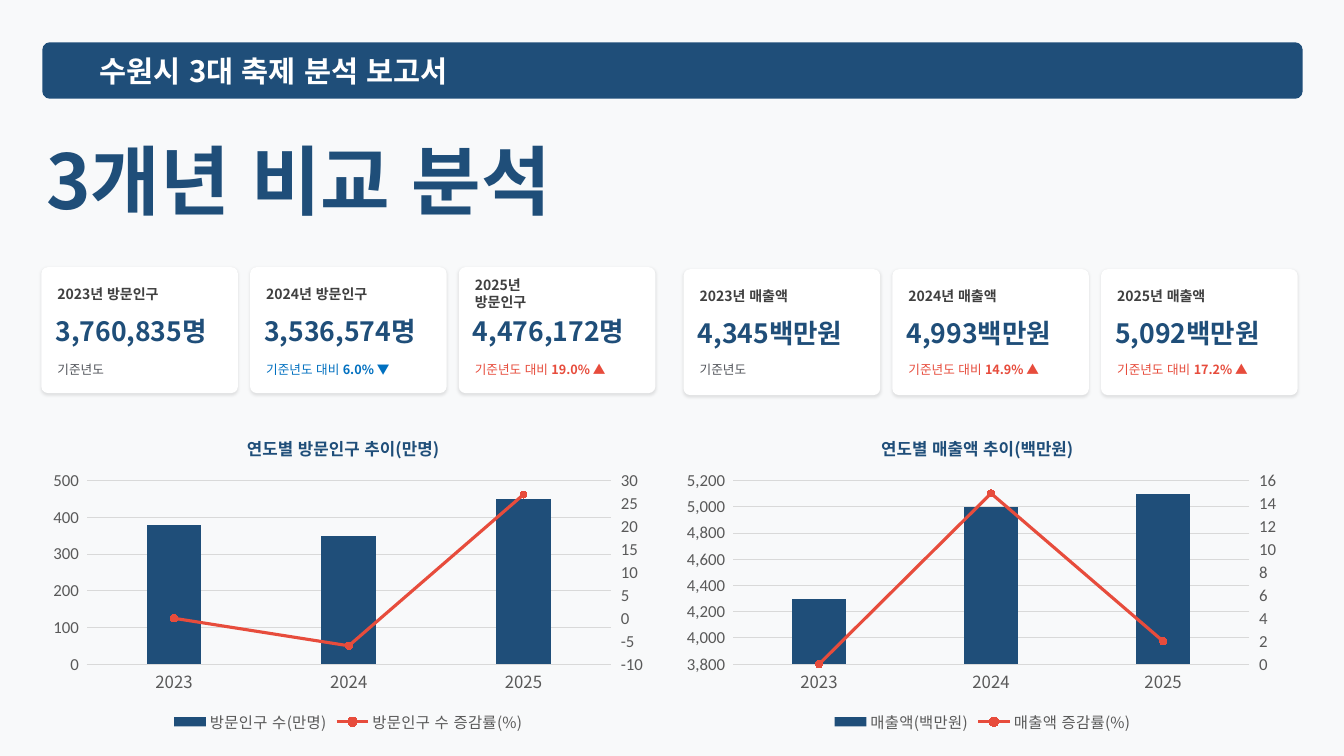
from copy import deepcopy

from pptx import Presentation
from pptx.chart.axis import ValueAxis
from pptx.chart.data import CategoryChartData
from pptx.dml.color import RGBColor
from pptx.enum.chart import (XL_CHART_TYPE, XL_LEGEND_POSITION,
                             XL_MARKER_STYLE, XL_TICK_MARK)
from pptx.enum.lang import MSO_LANGUAGE_ID
from pptx.enum.shapes import MSO_SHAPE
from pptx.enum.text import MSO_ANCHOR
from pptx.oxml import parse_xml
from pptx.oxml.ns import nsdecls, qn
from pptx.util import Inches, Pt

COLUMN = XL_CHART_TYPE.COLUMN_CLUSTERED
LEGEND_BOTTOM = XL_LEGEND_POSITION.BOTTOM
CIRCLE = XL_MARKER_STYLE.CIRCLE
TICK_NONE, TICK_OUT = XL_TICK_MARK.NONE, XL_TICK_MARK.OUTSIDE
ROUNDED = MSO_SHAPE.ROUNDED_RECTANGLE
MIDDLE = MSO_ANCHOR.MIDDLE
KOREAN_LANGUAGE = MSO_LANGUAGE_ID.KOREAN

NAVY = RGBColor(0x1F, 0x4E, 0x79)
RED = RGBColor(0xE7, 0x4C, 0x3C)
BLUE = RGBColor(0x00, 0x70, 0xC0)
WHITE = RGBColor(0xFF, 0xFF, 0xFF)
PAPER = RGBColor(0xF8, 0xF9, 0xFA)
LABEL_GREY = RGBColor(0x40, 0x40, 0x40)
NOTE_GREY = RGBColor(0x51, 0x54, 0x5A)
AXIS_GREY = RGBColor(0x59, 0x59, 0x59)
GRID_GREY = RGBColor(0xD9, 0xD9, 0xD9)

KOREAN, LATIN = "Noto Sans CJK KR", "Calibri"
CARD_WIDTH, CARD_HEIGHT, CARD_STEP = 1.95, 1.25, 2.07
NOTE_TOP = 3.56
CHART_TOP, CHART_WIDTH, CHART_HEIGHT = 4.14, 6.09, 3.17
PLOT_TOP, PLOT_HEIGHT = 0.63, 1.82
YEARS = ("2023", "2024", "2025")
BASE = ("기준년도", "", NOTE_GREY)
VERSUS = "기준년도 대비 "

CARD_GROUPS = (
    (0.41, 2.65, (
        ("2023년 방문인구", 1.12, "3,760,835명", BASE),
        ("2024년 방문인구", 1.12, "3,536,574명", (VERSUS, "6.0% ▼", BLUE)),
        ("2025년 방문인구", 0.95, "4,476,172명", (VERSUS, "19.0% ▲", RED)))),
    (6.78, 2.67, (
        ("2023년 매출액", 1.12, "4,345백만원", BASE),
        ("2024년 매출액", 1.12, "4,993백만원", (VERSUS, "14.9% ▲", RED)),
        ("2025년 매출액", 1.12, "5,092백만원", (VERSUS, "17.2% ▲", RED)))),
)

CHARTS = (
    dict(left=0.41, title="연도별 방문인구 추이(만명)",
         bars=("방문인구 수(만명)", (380, 350, 450)),
         rates=("방문인구 수 증감률(%)", (0, -6, 27)),
         bar_scale=(0, 500, 100), rate_scale=(-10, 30, 5),
         number_format="#,##0_);[Red]\\(#,##0\\)",
         plot_left=0.45, plot_width=5.2),
    dict(left=6.7, title="연도별 매출액 추이(백만원)",
         bars=("매출액(백만원)", (4300, 5000, 5100)),
         rates=("매출액 증감률(%)", (0, 14.9, 2)),
         bar_scale=(3800, 5200, 200), rate_scale=(0, 16, 2),
         number_format="#,##0_ ",
         plot_left=0.57, plot_width=5.12),
)


def style_font(font, size, color, bold=False, name=KOREAN):
    """Set size, colour, weight, language and both typefaces."""
    font.size, font.bold, font.name = Pt(size), bold, name
    font.color.rgb = color
    font.language_id = KOREAN_LANGUAGE
    latin = font._rPr.find(qn("a:latin"))
    latin.addnext(parse_xml(f'<a:ea {nsdecls("a")} typeface="{name}"/>'))


def add_text(slide, box, runs, size, color):
    """Add a wrapped text box from (text, bold) runs."""
    shape = slide.shapes.add_textbox(*map(Inches, box))
    frame = shape.text_frame
    frame.word_wrap, frame.vertical_anchor = True, MIDDLE
    frame.margin_left = frame.margin_right = 0
    frame.margin_top = frame.margin_bottom = 0
    for text, bold in runs:
        run = frame.paragraphs[0].add_run()
        run.text = text
        style_font(run.font, size, color, bold)


def add_panel(slide, box, color, corner):
    """Add a borderless rounded panel."""
    shape = slide.shapes.add_shape(ROUNDED, *map(Inches, box))
    shape.adjustments[0] = corner
    shape.fill.solid()
    shape.fill.fore_color.rgb = color
    shape.line.fill.background()
    shape.shadow.inherit = False
    return shape


def add_card(slide, left, top, card):
    """Add one figure card with label, value and comparison note."""
    label, label_width, value, (note, change, note_color) = card
    panel = add_panel(slide, (left, top, CARD_WIDTH, CARD_HEIGHT), WHITE, 0.053)
    effects = panel._element.spPr.find(qn("a:effectLst"))
    effects.append(parse_xml(
        f'<a:outerShdw {nsdecls("a")} blurRad="{Pt(2)}" dist="{Pt(1)}" '
        'dir="5400000" algn="t" rotWithShape="0"><a:srgbClr val="000000">'
        '<a:alpha val="10000"/></a:srgbClr></a:outerShdw>'))
    add_text(slide, (left + 0.16, top + 0.18, label_width, 0.17),
             [(label, True)], 10, LABEL_GREY)
    add_text(slide, (left + 0.14, top + 0.49, CARD_WIDTH, 0.29),
             [(value, True)], 19, NAVY)
    runs = [(note, False)] + ([(change, True)] if change else [])
    add_text(slide, (left + 0.16, NOTE_TOP, 1.75, 0.21), runs, 9, note_color)


def set_layout(parent, index, shares, inner=False):
    """Place a chart part by shares of the chart's size."""
    for old in parent.findall(qn("c:layout")):
        parent.remove(old)
    target = '<c:layoutTarget val="inner"/>' if inner else ""
    modes = '<c:xMode val="edge"/><c:yMode val="edge"/>'
    places = "".join(f'<c:{key} val="{share}"/>' for key, share in zip("xywh", shares))
    parent.insert(index, parse_xml(
        f'<c:layout {nsdecls("c")}><c:manualLayout>{target}{modes}{places}'
        '</c:manualLayout></c:layout>'))


def move_rates_to_right_axis(chart):
    """Turn the second series into a line and return its own value axis."""
    bar_plot = chart.plots[0]._element
    plot_area = bar_plot.getparent()
    series = bar_plot.findall(qn("c:ser"))[1]
    for flag in series.findall(qn("c:invertIfNegative")):
        series.remove(flag)
    line_plot = parse_xml(
        f'<c:lineChart {nsdecls("c")}><c:grouping val="standard"/>'
        '<c:varyColors val="0"/><c:marker val="1"/>'
        '<c:axId val="5001"/><c:axId val="5002"/></c:lineChart>')
    line_plot.insert(2, series)
    bar_plot.addnext(line_plot)
    category = deepcopy(plot_area.find(qn("c:catAx")))
    value = deepcopy(plot_area.find(qn("c:valAx")))
    plot_area.find(qn("c:valAx")).addnext(value)
    value.addnext(category)
    for axis, own, other in ((category, "5001", "5002"), (value, "5002", "5001")):
        axis.find(qn("c:axId")).set("val", own)
        axis.find(qn("c:crossAx")).set("val", other)
    category.find(qn("c:delete")).set("val", "1")
    value.find(qn("c:axPos")).set("val", "r")
    value.find(qn("c:crosses")).set("val", "max")
    return ValueAxis(value)


def style_value_axis(axis, scale, number_format, tick):
    """Give a value axis its scale, number format and font."""
    axis.minimum_scale, axis.maximum_scale, axis.major_unit = scale
    axis.major_tick_mark, axis.minor_tick_mark = tick, TICK_NONE
    axis.format.line.fill.background()
    axis.tick_labels.number_format = number_format
    axis.tick_labels.number_format_is_linked = False
    style_font(axis.tick_labels.font, 12, AXIS_GREY, name=LATIN)


def style_series(chart):
    """Colour the columns and the marked line."""
    bar_plot, line_plot = chart.plots
    bar_plot.gap_width, bar_plot.vary_by_categories = 219, False
    bars, rates = bar_plot.series[0], line_plot.series[0]
    rates.smooth = False
    rates.format.line.color.rgb, rates.format.line.width = RED, Pt(2.25)
    rates.marker.style, rates.marker.size = CIRCLE, 5
    rates.marker.format.line.color.rgb = RED
    for part, color in ((bars, NAVY), (rates.marker, RED)):
        part.format.fill.solid()
        part.format.fill.fore_color.rgb = color


def add_trend_chart(slide, left, title, bars, rates, bar_scale, rate_scale,
                    number_format, plot_left, plot_width):
    """Add columns with a growth line on a right axis."""
    data = CategoryChartData()
    data.categories = YEARS
    data.add_series(*bars)
    data.add_series(*rates)
    box = map(Inches, (left, CHART_TOP, CHART_WIDTH, CHART_HEIGHT))
    chart = slide.shapes.add_chart(COLUMN, *box, data).chart
    chart.font.size, chart.font.name = Pt(10), LATIN
    left_axis, category_axis = chart.value_axis, chart.category_axis
    left_axis.has_major_gridlines = False
    right_axis = move_rates_to_right_axis(chart)
    style_series(chart)
    style_value_axis(left_axis, bar_scale, number_format, TICK_NONE)
    style_value_axis(right_axis, rate_scale, "General", TICK_OUT)
    category_axis.major_tick_mark = TICK_NONE
    style_font(category_axis.tick_labels.font, 12, AXIS_GREY)
    left_axis.has_major_gridlines = True
    for rule in (category_axis.format.line, left_axis.major_gridlines.format.line):
        rule.color.rgb, rule.width = GRID_GREY, Pt(0.75)
    chart.has_legend = True
    chart.legend.position, chart.legend.include_in_layout = LEGEND_BOTTOM, False
    style_font(chart.legend.font, 11, AXIS_GREY)
    heading = chart.chart_title
    heading.text_frame.text = title
    style_font(heading.text_frame.paragraphs[0].runs[0].font, 12, NAVY, True)
    set_layout(heading._element, 1, (0.33, 0.04))
    shares = (plot_left / CHART_WIDTH, PLOT_TOP / CHART_HEIGHT,
              plot_width / CHART_WIDTH, PLOT_HEIGHT / CHART_HEIGHT)
    set_layout(chart.plots[0]._element.getparent(), 0, shares, inner=True)


def main():
    """Build the festival comparison slide."""
    presentation = Presentation()
    presentation.slide_width, presentation.slide_height = Inches(13.33), Inches(7.5)
    slide = presentation.slides.add_slide(presentation.slide_layouts[6])
    slide.background.fill.solid()
    slide.background.fill.fore_color.rgb = PAPER
    for left, top, cards in CARD_GROUPS:
        for column, card in enumerate(cards):
            add_card(slide, left + column * CARD_STEP, top, card)
    add_panel(slide, (0.42, 0.42, 12.5, 0.56), NAVY, 0.132)
    add_text(slide, (0.99, 0.49, 11.35, 0.43),
             [("수원시 3대 축제 분석 보고서", True)], 21, WHITE)
    add_text(slide, (0.46, 1.23, 6.32, 1.09), [("3개년 비교 분석", True)], 54, NAVY)
    for chart in CHARTS:
        add_trend_chart(slide, **chart)
    presentation.save("out.pptx")


if __name__ == "__main__":
    main()
